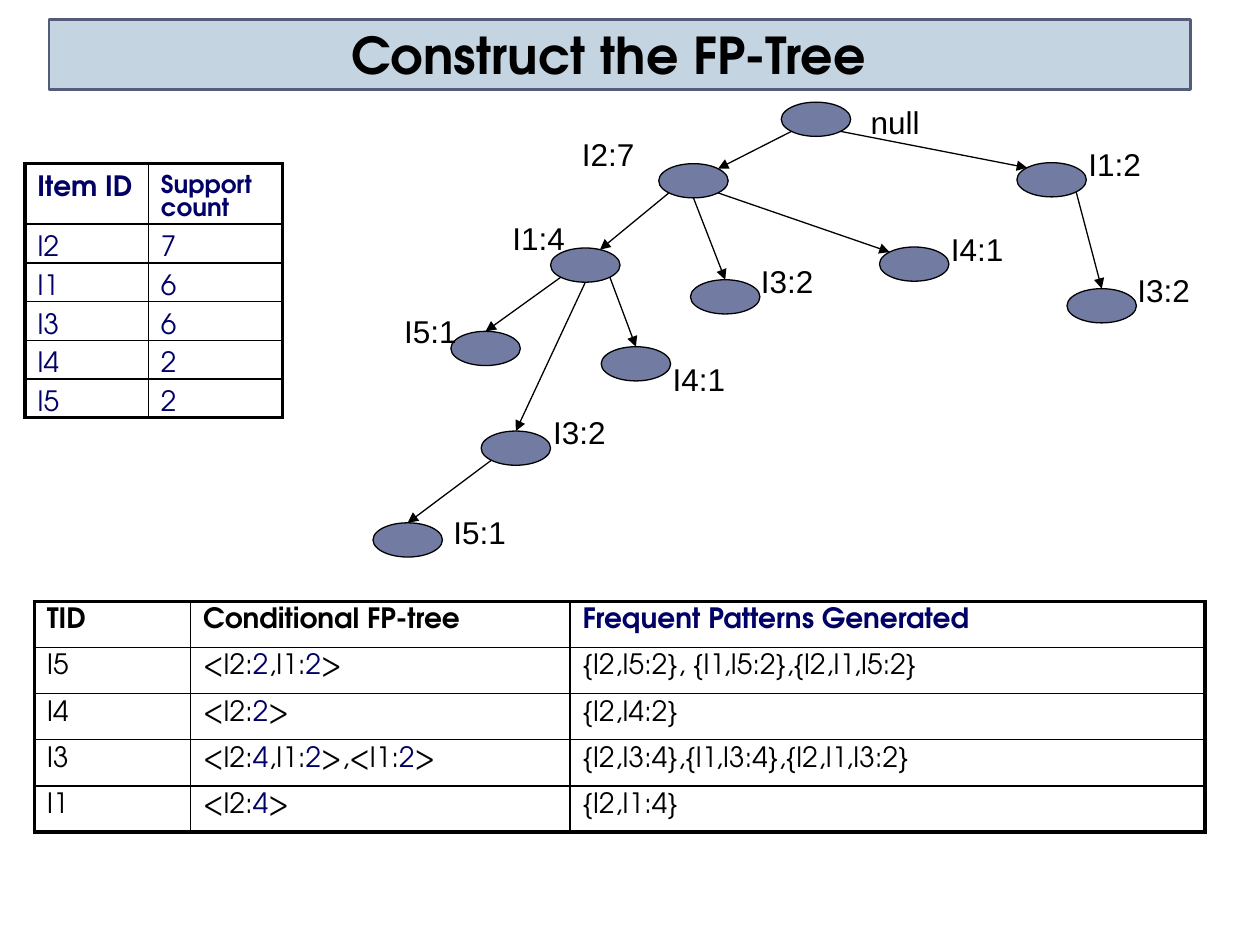
from dataclasses import dataclass
from math import cos, radians, sin

from lxml import etree
from pptx import Presentation
from pptx.dml.color import RGBColor
from pptx.enum.shapes import MSO_CONNECTOR, MSO_SHAPE
from pptx.enum.text import MSO_ANCHOR, MSO_AUTO_SIZE, PP_ALIGN
from pptx.oxml.ns import qn
from pptx.util import Cm, Pt

RECTANGLE, OVAL = MSO_SHAPE.RECTANGLE, MSO_SHAPE.OVAL
STRAIGHT = MSO_CONNECTOR.STRAIGHT
CENTER, BOTTOM_ANCHOR, NO_AUTOFIT = PP_ALIGN.CENTER, MSO_ANCHOR.BOTTOM, MSO_AUTO_SIZE.NONE
COLORS = {"bar": "C5D4E1", "bar_line": "545C79", "node": "727CA3",
          "ink": "000000", "navy": "000066"}
HEADING_FONT, LABEL_FONT = "TeX Gyre Adventor", "Arial"
NODE_WIDTH, NODE_HEIGHT = 1.4, 0.69
OUTER_BORDER, INNER_BORDER = 2.25, 1

# Places on an ellipse, in degrees counterclockwise from its right end
TOP_RIGHT, UPPER_RIGHT, TOP, TOP_LEFT = 45, 65, 90, 135
BOTTOM_LEFT, BOTTOM, BOTTOM_RIGHT = 225, 270, 315


@dataclass
class Node:
    left: float
    top: float
    label: str
    label_left: float
    label_top: float

    def point(self, angle: float) -> tuple:
        """Point of the outline at the given angle."""
        return (Cm(self.left + NODE_WIDTH / 2 * (1 + cos(radians(angle)))),
                Cm(self.top + NODE_HEIGHT / 2 * (1 - sin(radians(angle)))))


@dataclass
class Edge:
    parent: str
    leaving: float
    child: str
    arriving: float


@dataclass
class Grid:
    """In cell text, every second part between bars is navy."""
    left: float
    top: float
    widths: list
    heights: list
    margin_top: float
    rows: list


NODES = {
    "root": Node(15.75, 2.06, "null", 17.3, 1.96),
    "I2": Node(13.28, 3.3, "I2:7", 11.48, 2.59),
    "I2-I1": Node(11.1, 5, "I1:4", 10.08, 4.29),
    "I2-I1-I5": Node(9.09, 6.68, "I5:1", 7.9, 6.17),
    "I2-I1-I4": Node(12.12, 6.99, "I4:1", 13.31, 7.14),
    "I2-I1-I3": Node(9.7, 8.69, "I3:2", 10.9, 8.2),
    "I2-I1-I3-I5": Node(7.52, 10.54, "I5:1", 8.89, 10.21),
    "I2-I3": Node(13.92, 5.64, "I3:2", 15.09, 5.16),
    "I2-I4": Node(17.73, 4.98, "I4:1", 18.92, 4.52),
    "I1": Node(20.5, 3.28, "I1:2", 21.69, 2.79),
    "I1-I3": Node(21.51, 5.82, "I3:2", 22.68, 5.33),
}
EDGES = [
    Edge("root", BOTTOM_LEFT, "I2", TOP_RIGHT),
    Edge("root", BOTTOM_RIGHT, "I1", TOP_LEFT),
    Edge("I2", BOTTOM_LEFT, "I2-I1", UPPER_RIGHT),
    Edge("I2", BOTTOM, "I2-I3", TOP),
    Edge("I2", BOTTOM_RIGHT, "I2-I4", TOP_LEFT),
    Edge("I2-I1", BOTTOM_LEFT, "I2-I1-I5", TOP),
    Edge("I2-I1", BOTTOM, "I2-I1-I3", TOP),
    Edge("I2-I1", BOTTOM_RIGHT, "I2-I1-I4", TOP),
    Edge("I2-I1-I3", BOTTOM_LEFT, "I2-I1-I3-I5", TOP),
    Edge("I1", BOTTOM_RIGHT, "I1-I3", TOP),
]
SUPPORT_GRID = Grid(0.5, 3.3, [2.49, 2.7], [1.22] + [0.78] * 5, 0.24, [
    ["|Item ID", "|Support count"],
    ["|I2", "|7"], ["|I1", "|6"], ["|I3", "|6"], ["|I4", "|2"], ["|I5", "|2"],
])
PATTERN_GRID = Grid(0.69, 12.12, [3.15, 7.65, 12.8], [0.93] * 5, 0.14, [
    ["TID", "Conditional FP-tree", "|Frequent Patterns Generated"],
    ["I5", "<I2:|2|,I1:|2|>", "{I2,I5:2}, {I1,I5:2},{I2,I1,I5:2}"],
    ["I4", "<I2:|2|>", "{I2,I4:2}"],
    ["I3", "<I2:|4|,I1:|2|>,<I1:|2|>", "{I2,I3:4},{I1,I3:4},{I2,I1,I3:2}"],
    ["I1", "<I2:|4|>", "{I2,I1:4}"],
])


def rgb(name: str) -> RGBColor:
    return RGBColor.from_string(COLORS[name])


def format_run(run, font: str, size: float, color: str = "ink", bold: bool = False) -> None:
    run.font.name, run.font.size, run.font.bold = font, Pt(size), bold
    run.font.color.rgb = rgb(color)


def add_filled_shape(slide, kind, box: tuple, fill: str, line: str, weight: float):
    shape = slide.shapes.add_shape(kind, *map(Cm, box))
    shape.shadow.inherit = False
    shape.fill.solid()
    shape.fill.fore_color.rgb = rgb(fill)
    shape.line.color.rgb = rgb(line)
    shape.line.width = Pt(weight)
    return shape


def add_title(slide, text: str) -> None:
    bar = add_filled_shape(slide, RECTANGLE, (0.99, 0.4, 23.01, 1.4), "bar", "bar_line", 1.5)
    title = slide.shapes.title
    title.element.addprevious(bar.element)
    title.left, title.top, title.width, title.height = map(Cm, (0.84, 0.53, 22.86, 1.3))
    frame = title.text_frame
    frame.text = text
    frame.auto_size, frame.vertical_anchor = NO_AUTOFIT, BOTTOM_ANCHOR
    frame.paragraphs[0].alignment = CENTER
    format_run(frame.paragraphs[0].runs[0], HEADING_FONT, 29, bold=True)


def add_node(slide, node: Node) -> None:
    add_filled_shape(slide, OVAL, (node.left, node.top, NODE_WIDTH, NODE_HEIGHT),
                     "node", "ink", 0.75)
    label = slide.shapes.add_textbox(Cm(node.label_left), Cm(node.label_top), Cm(1.57), Cm(1.02))
    label.text_frame.word_wrap = False
    label.text_frame.text = node.label
    format_run(label.text_frame.paragraphs[0].runs[0], LABEL_FONT, 18)


def add_edge(slide, edge: Edge) -> None:
    start = NODES[edge.parent].point(edge.leaving)
    end = NODES[edge.child].point(edge.arriving)
    arrow = slide.shapes.add_connector(STRAIGHT, *start, *end)
    arrow.line.color.rgb = rgb("ink")
    arrow.line.width = Pt(0.75)
    etree.SubElement(arrow.line._get_or_add_ln(), qn("a:tailEnd"), type="triangle")
    etree.SubElement(arrow.element.spPr, qn("a:effectLst"))


def set_borders(cell, weights: dict) -> None:
    properties = cell._tc.get_or_add_tcPr()
    for side, weight in weights.items():
        line = etree.SubElement(properties, qn(f"a:ln{side}"), w=str(Pt(weight)))
        fill = etree.SubElement(line, qn("a:solidFill"))
        etree.SubElement(fill, qn("a:srgbClr"), val=COLORS["ink"])


def fill_cell(cell, text: str, size: float, bold: bool) -> None:
    paragraph = cell.text_frame.paragraphs[0]
    for index, part in enumerate(text.split("|")):
        if part:
            run = paragraph.add_run()
            run.text = part
            format_run(run, HEADING_FONT, size, "navy" if index % 2 else "ink", bold)


def add_grid(slide, grid: Grid) -> None:
    last_row, last_column = len(grid.heights) - 1, len(grid.widths) - 1
    table = slide.shapes.add_table(
        last_row + 1, last_column + 1, Cm(grid.left), Cm(grid.top),
        Cm(sum(grid.widths)), Cm(sum(grid.heights))).table
    table.first_row = table.horz_banding = False
    for column, width in zip(table.columns, grid.widths):
        column.width = Cm(width)
    for row_index, (row, height) in enumerate(zip(table.rows, grid.heights)):
        row.height = Cm(height)
        for column_index, cell in enumerate(row.cells):
            outer = {"L": column_index == 0, "R": column_index == last_column,
                     "T": row_index == 0, "B": row_index == last_row}
            set_borders(cell, {side: OUTER_BORDER if edge else INNER_BORDER
                               for side, edge in outer.items()})
            cell.fill.background()
            cell.margin_top, cell.margin_bottom = Cm(grid.margin_top), 0
            text = grid.rows[row_index][column_index]
            fill_cell(cell, text, 14 if text == "|Support count" else 16, row_index == 0)


def main() -> None:
    presentation = Presentation()
    presentation.slide_width, presentation.slide_height = Cm(25.4), Cm(19.05)
    slide = presentation.slides.add_slide(presentation.slide_layouts[5])
    add_title(slide, "Construct the FP-Tree")
    add_grid(slide, SUPPORT_GRID)
    for node in NODES.values():
        add_node(slide, node)
    for edge in EDGES:
        add_edge(slide, edge)
    add_grid(slide, PATTERN_GRID)
    presentation.save("out.pptx")


if __name__ == "__main__":
    main()
